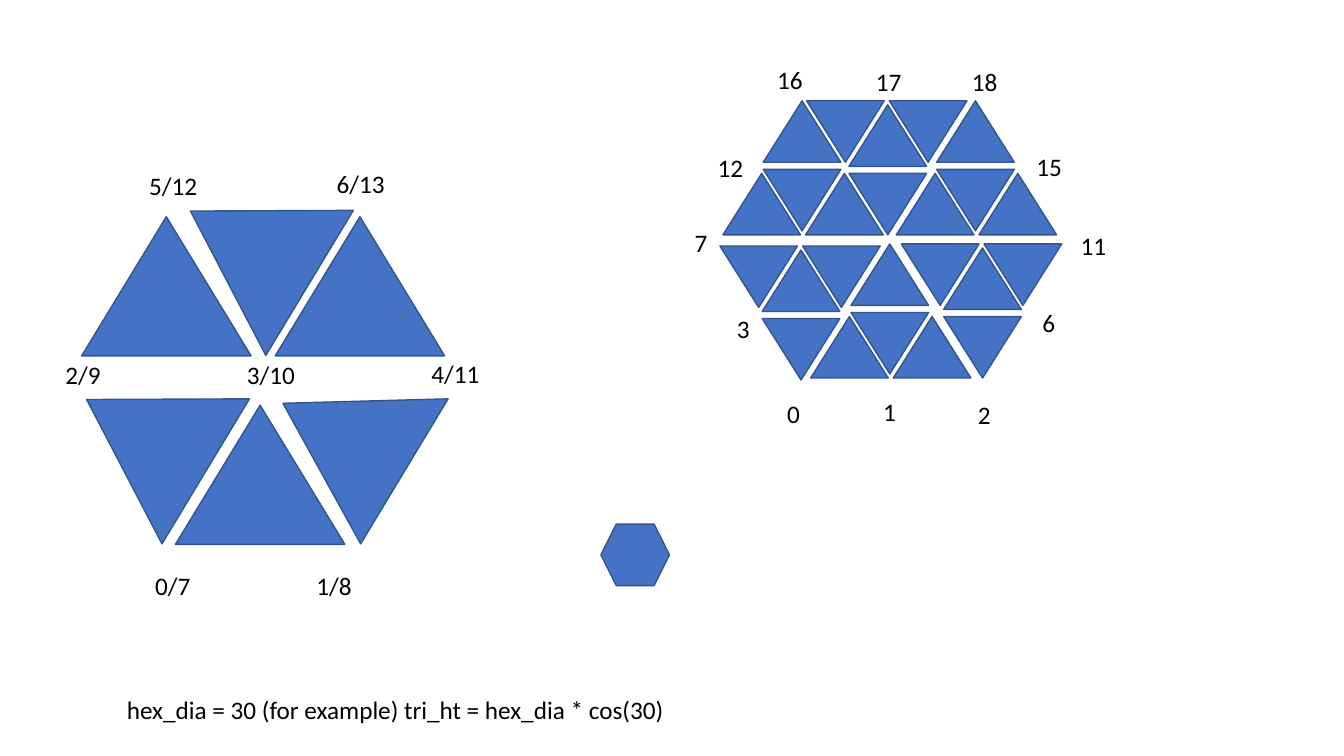
from pptx import Presentation
from pptx.dml.color import RGBColor
from pptx.enum.shapes import MSO_SHAPE
from pptx.enum.text import MSO_AUTO_SIZE
from pptx.util import Inches, Pt

TRIANGLE = MSO_SHAPE.ISOSCELES_TRIANGLE
HEXAGON = MSO_SHAPE.HEXAGON
FIT_SHAPE = MSO_AUTO_SIZE.SHAPE_TO_FIT_TEXT
BLUE = RGBColor(0x44, 0x72, 0xC4)
DARK_BLUE = RGBColor(0x32, 0x54, 0x91)
BLACK = RGBColor(0, 0, 0)

LARGE = (1.68, 1.38)
SMALL = (0.77, 0.61)
LABEL_HEIGHT = 0.4
LABEL_WIDTHS = {1: 0.33, 2: 0.46, 3: 0.56, 4: 0.68}
TILT = 301.1

# left, top, rotation
LARGE_TRIANGLES = [
    (1.74, 4.02, 0), (0.61, 3.63, TILT), (2.58, 3.63, TILT),
    (0.81, 2.15, 0), (1.64, 1.76, TILT), (2.73, 2.15, 0),
]
SKEWED_TRIANGLE = 2
SKEWED_APEX = 0.474

# Tip triangle of each cluster; the others follow from CLUSTER_STEPS
UPRIGHT_TIPS = [(7.57, 1), (9.29, 1), (8.44, 2.42)]
INVERTED_TIPS = [(7.56, 3.16), (9.36, 3.14), (8.42, 1.72)]
# across, down, turned against the tip
CLUSTER_STEPS = [(0, 0, False), (0, 0.68, True),
                 (0.42, 0.72, False), (-0.4, 0.72, False)]

LARGE_LABELS = [
    ("0/7", 1.44, 5.61), ("1/8", 3.04, 5.61), ("2/9", 0.55, 3.52),
    ("3/10", 2.35, 3.52), ("4/11", 4.18, 3.51),
    ("5/12", 1.38, 1.64), ("6/13", 3.24, 1.62),
]
SMALL_LABELS = [
    ("0", 7.71, 3.9), ("1", 8.66, 3.88), ("2", 9.6, 3.91),
    ("3", 7.21, 3.06), ("6", 10.24, 3), ("7", 6.79, 2.21),
    ("11", 10.62, 2.24), ("12", 7.02, 1.46), ("15", 10.18, 1.45),
    ("16", 7.61, 0.59), ("17", 8.59, 0.61), ("18", 9.54, 0.61),
]


def add_blue_shape(shapes, kind, left, top, size, rotation=0):
    shape = shapes.add_shape(kind, Inches(left), Inches(top), *map(Inches, size))
    shape.rotation = rotation
    shape.shadow.inherit = False
    shape.fill.solid()
    shape.fill.fore_color.rgb = BLUE
    shape.line.color.rgb = DARK_BLUE
    shape.line.width = Pt(1)
    return shape


def add_label(page, text, left, top, width):
    box = page.shapes.add_textbox(
        Inches(left), Inches(top), Inches(width), Inches(LABEL_HEIGHT))
    frame = box.text_frame
    frame.text = text
    frame.word_wrap = False
    frame.auto_size = FIT_SHAPE
    font = frame.paragraphs[0].runs[0].font
    font.name = "Calibri"
    font.size = Pt(18)
    font.color.rgb = BLACK


def add_cluster(page, left, top, inverted):
    """Group four small triangles into one larger triangle."""
    group = page.shapes.add_group_shape()
    sign = -1 if inverted else 1
    for across, down, turned in CLUSTER_STEPS:
        rotation = 180 if turned != inverted else 0
        add_blue_shape(group.shapes, TRIANGLE, left + sign * across,
                       top + sign * down, SMALL, rotation)


def add_large_hexagon(page):
    triangles = [add_blue_shape(page.shapes, TRIANGLE, left, top, LARGE, rotation)
                 for left, top, rotation in LARGE_TRIANGLES]
    triangles[SKEWED_TRIANGLE].adjustments[0] = SKEWED_APEX


def add_divided_hexagon(page):
    for tips, inverted in ((UPRIGHT_TIPS, False), (INVERTED_TIPS, True)):
        for left, top in tips:
            add_cluster(page, left, top, inverted)


def main():
    deck = Presentation()
    deck.slide_width = Inches(13.33)
    deck.slide_height = Inches(7.5)
    page = deck.slides.add_slide(deck.slide_layouts[6])

    add_large_hexagon(page)
    add_divided_hexagon(page)
    for text, left, top in LARGE_LABELS + SMALL_LABELS:
        add_label(page, text, left, top, LABEL_WIDTHS[len(text)])
    add_label(page, "hex_dia = 30 (for example) tri_ht = hex_dia * cos(30)",
              1.16, 6.84, 5.59)
    add_blue_shape(page.shapes, HEXAGON, 5.96, 5.2, (0.68, 0.61))

    deck.save("out.pptx")


if __name__ == "__main__":
    main()
